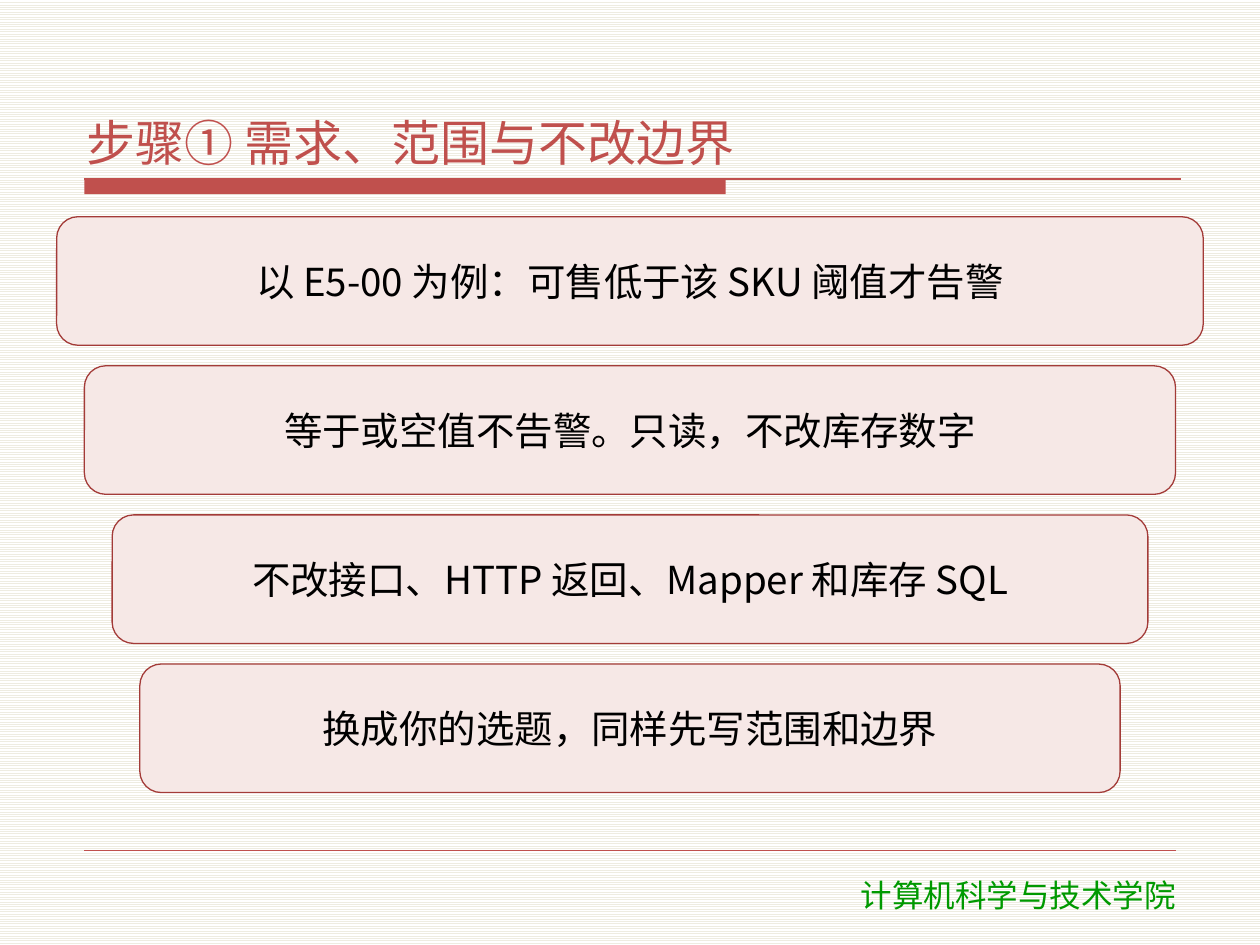
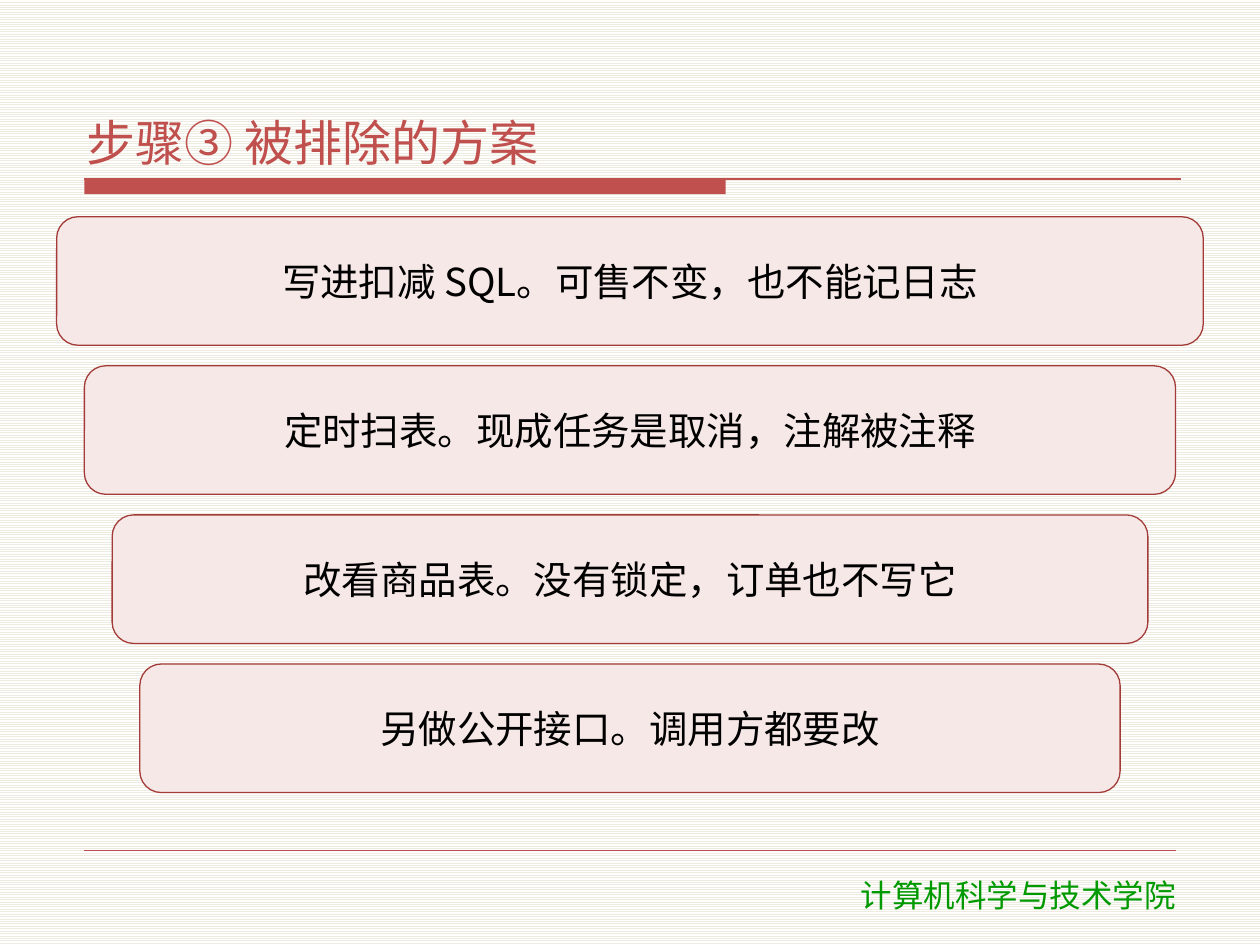
"""Build two step slides with tapering bands of text."""
from lxml import etree
from pptx import Presentation
from pptx.dml.color import RGBColor
from pptx.enum.dml import MSO_PATTERN
from pptx.enum.shapes import MSO_CONNECTOR, MSO_SHAPE
from pptx.enum.text import MSO_ANCHOR, MSO_AUTO_SIZE, PP_ALIGN
from pptx.oxml.ns import qn
from pptx.util import Inches, Pt

STRIPES = MSO_PATTERN.LIGHT_HORIZONTAL
STRAIGHT = MSO_CONNECTOR.STRAIGHT
RECT, ROUND = MSO_SHAPE.RECTANGLE, MSO_SHAPE.ROUNDED_RECTANGLE
TOP, MIDDLE, BOTTOM = MSO_ANCHOR.TOP, MSO_ANCHOR.MIDDLE, MSO_ANCHOR.BOTTOM
LEFT, CENTER = PP_ALIGN.LEFT, PP_ALIGN.CENTER
FIXED = MSO_AUTO_SIZE.NONE

COLORS = {
    "red": "C0504D",
    "edge": "A33B38",
    "pink": "F6E8E6",
    "green": "009900",
    "ink": "000000",
    "stripe": "EEECE1",
    "paper": "FFFFFF",
}
SANS, HAN = "DejaVu Sans", "Noto Sans CJK SC"
SCHOOL = "计算机科学与技术学院"
WIDTH, MARGIN = 10, 0.67

STEPS = [
    ("步骤① 需求、范围与不改边界", [
        "以 E5-00 为例：可售低于该 SKU 阈值才告警",
        "等于或空值不告警。只读，不改库存数字",
        "不改接口、HTTP 返回、Mapper 和库存 SQL",
        "换成你的选题，同样先写范围和边界",
    ]),
    ("步骤③ 被排除的方案", [
        "写进扣减 SQL。可售不变，也不能记日志",
        "定时扫表。现成任务是取消，注解被注释",
        "改看商品表。没有锁定，订单也不写它",
        "另做公开接口。调用方都要改",
    ]),
]


def color(name):
    return RGBColor.from_string(COLORS[name])


class Deck:
    def __init__(self):
        self.prs = Presentation()
        self.prs.slide_width = Inches(WIDTH)
        self.prs.slide_height = Inches(7.5)
        self.slide = None

    def start(self, title):
        self.slide = self.prs.slides.add_slide(self.prs.slide_layouts[5])
        fill = self.slide.background.fill
        fill.patterned()
        fill.pattern = STRIPES
        fill.fore_color.rgb = color("stripe")
        fill.back_color.rgb = color("paper")
        self.shape(RECT, MARGIN, 1.42, 5.09, 0.12, "red")
        self.line(MARGIN, 9.37, 1.42, 0.75)
        self.line(MARGIN, WIDTH - MARGIN, 6.75, 0.25)
        self.footer()
        self.title(title)

    def title(self, text):
        box = self.slide.shapes.title
        box.left, box.top = Inches(0.63), Inches(0.33)
        box.width, box.height = Inches(8.75), Inches(1.05)
        self.inset(box)
        self.label(box, text, 28, "red", HAN, LEFT, BOTTOM, 2)

    def footer(self):
        box = self.slide.shapes.add_textbox(
            Inches(6.07), Inches(6.9), Inches(4.02), Inches(0.4))
        self.label(box, SCHOOL, 18, "green", SANS, CENTER, TOP)

    def band(self, text, row):
        left = 0.45 + 0.22 * row
        top = 1.72 + 3.55 * row / 3
        box = self.shape(ROUND, left, top, WIDTH - 2 * left, 1.02, "pink", "edge")
        self.inset(box)
        self.label(box, text, 22, "ink", HAN, CENTER, MIDDLE, 2)

    def shape(self, kind, left, top, width, height, fill, edge=None):
        item = self.slide.shapes.add_shape(
            kind, Inches(left), Inches(top), Inches(width), Inches(height))
        item.shadow.inherit = False
        item.fill.solid()
        item.fill.fore_color.rgb = color(fill)
        if edge:
            item.line.color.rgb = color(edge)
            item.line.width = Pt(0.75)
        else:
            item.line.fill.background()
        return item

    def line(self, left, right, top, weight):
        item = self.slide.shapes.add_connector(
            STRAIGHT, Inches(left), Inches(top), Inches(right), Inches(top))
        item.line.color.rgb = color("red")
        item.line.width = Pt(weight)
        props = item._element.spPr
        etree.SubElement(props, qn("a:effectLst"))

    def inset(self, box):
        frame = box.text_frame
        frame.margin_left = frame.margin_right = Inches(0.06)
        frame.margin_top = frame.margin_bottom = Inches(0.02)

    def label(self, box, text, size, ink, face, align, anchor, after=0):
        frame = box.text_frame
        frame.text = text
        frame.word_wrap = True
        frame.auto_size = FIXED
        frame.vertical_anchor = anchor
        para = frame.paragraphs[0]
        para.alignment = align
        para.space_before, para.space_after = Pt(0), Pt(after)
        run = para.runs[0]
        run.font.size = Pt(size)
        run.font.color.rgb = color(ink)
        run.font.name = face
        props = run._r.get_or_add_rPr()
        etree.SubElement(props, qn("a:ea")).set("typeface", HAN)


def main():
    deck = Deck()
    for title, bands in STEPS:
        deck.start(title)
        for row, text in enumerate(bands):
            deck.band(text, row)
    deck.prs.save("out.pptx")


if __name__ == "__main__":
    main()
